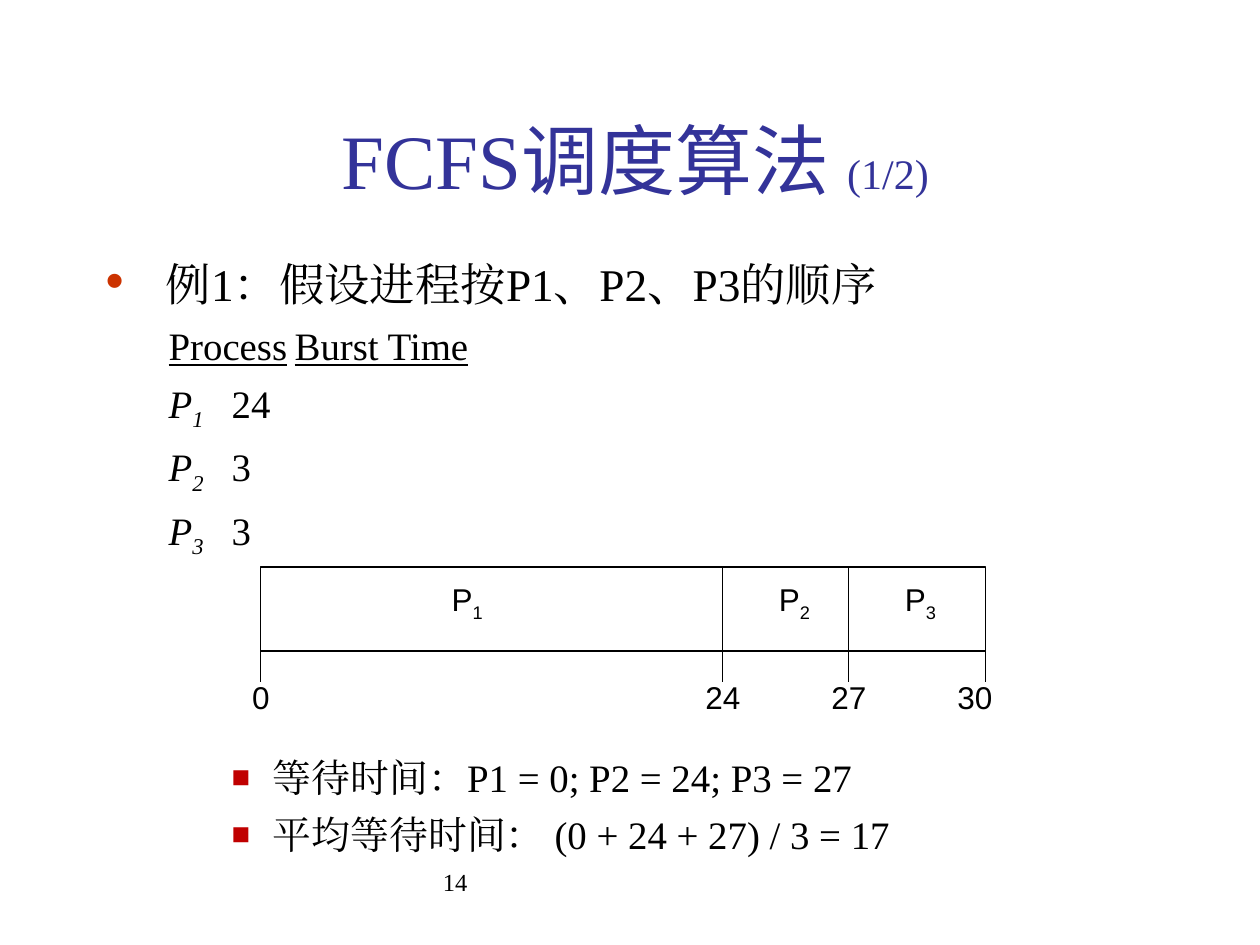
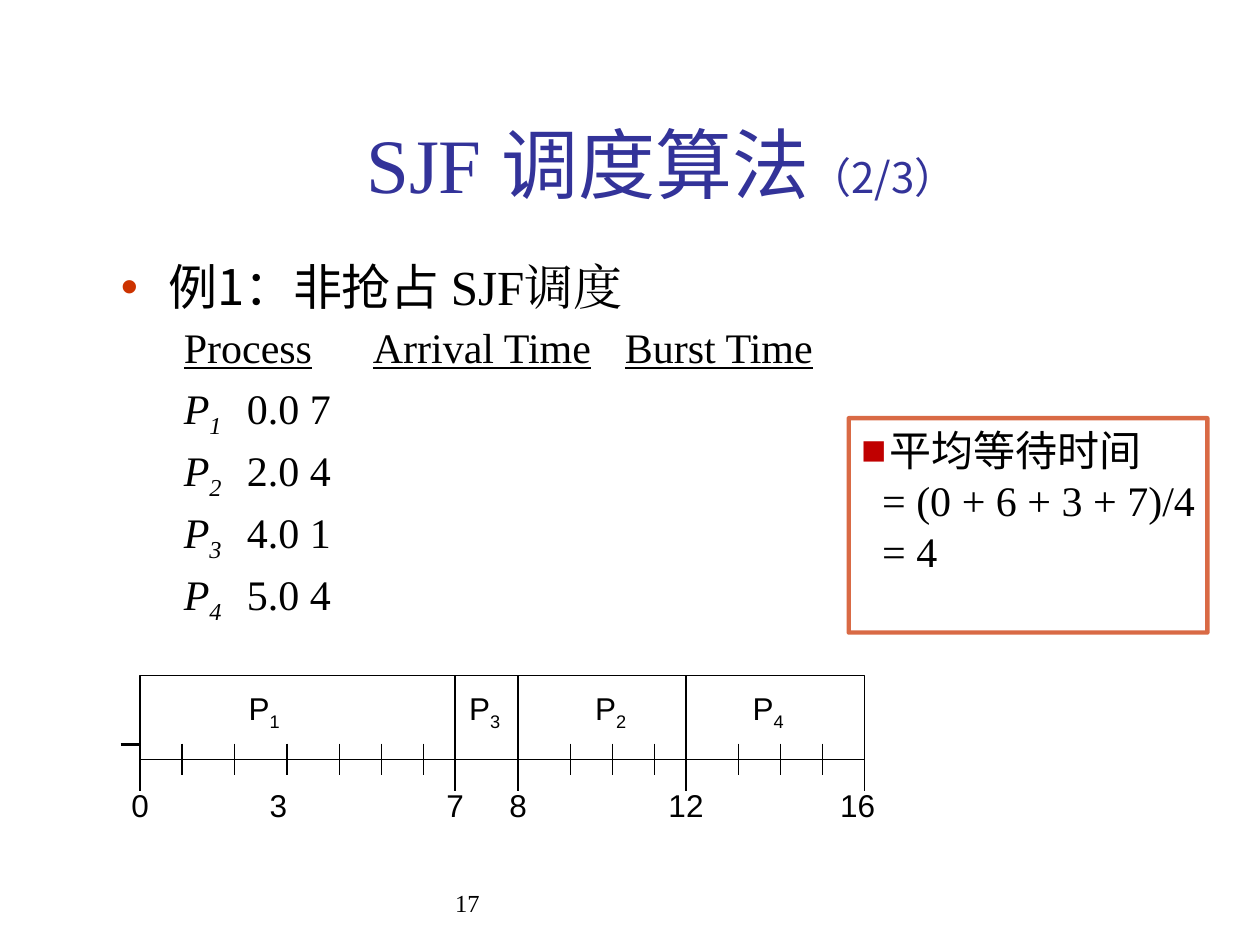
from lxml import etree
from pptx import Presentation
from pptx import util as u
from pptx.dml import color
from pptx.enum import shapes, text
from pptx.oxml import ns

COLORS = {"title": "333399", "ink": "000000", "paper": "FFFFFF",
          "dot": "CC3300", "square": "C00000", "frame": "CC3300"}
TIMES, NOTO, ARIAL = "Times New Roman", "Noto Sans CJK SC", "Arial"
DOT = {"char": "•", "color": "dot", "percent": 100}
SQUARE = {"char": "■", "color": "square", "percent": 80}
SUB = {"italic": True, "sub": True}


def rgb(key):
    return color.RGBColor.from_string(COLORS[key])


def child(parent, tag, **attrs):
    node = etree.SubElement(parent, ns.qn(tag))
    for key, value in attrs.items():
        node.set(key, str(value))
    return node


def set_all(target, values):
    for key, value in values.items():
        setattr(target, key, value)


def add_run(paragraph, words, style):
    style = dict(style)
    subscript = style.pop("sub", False)
    ink = style.pop("ink", "ink")
    style["size"] = u.Pt(style["size"])
    run = paragraph.add_run()
    run.text = words
    set_all(run.font, style)
    run.font.color.rgb = rgb(ink)
    props = run.font._element
    child(props, "a:ea", typeface=style["name"])
    if subscript:
        props.set("baseline", "-25000")


def para(*runs, bullet=None, tabs=(), margin=0, hang=0, **layout):
    return {"runs": runs, "bullet": bullet, "tabs": tabs,
            "margin": margin, "hang": hang, "layout": layout}


def write(frame, paras, base):
    for number, item in enumerate(paras):
        paragraph = frame.paragraphs[0] if number == 0 else frame.add_paragraph()
        props = paragraph._p.get_or_add_pPr()
        props.set("marL", str(u.Pt(item["margin"])))
        props.set("indent", str(u.Pt(-item["hang"])))
        bullet = item["bullet"]
        if bullet:
            child(child(props, "a:buClr"), "a:srgbClr", val=COLORS[bullet["color"]])
            child(props, "a:buSzPct", val=bullet["percent"] * 1000)
            child(props, "a:buFont", typeface=ARIAL)
            child(props, "a:buChar", char=bullet["char"])
        else:
            child(props, "a:buNone")
        if item["tabs"]:
            stops = child(props, "a:tabLst")
            for stop in item["tabs"]:
                child(stops, "a:tab", pos=u.Pt(stop), algn="l")
        set_all(paragraph, item["layout"])
        for words, style in item["runs"]:
            add_run(paragraph, words, {**base, **style})


def add_text(slide, box, paras, base, **frame_values):
    frame = slide.shapes.add_textbox(*map(u.Pt, box)).text_frame
    set_all(frame, {"word_wrap": True, **frame_values})
    write(frame, paras, base)


def add_title(slide, box, runs):
    add_text(slide, box, [para(*runs, alignment=text.PP_ALIGN.CENTER)],
             {"name": TIMES, "size": 44, "ink": "title"},
             vertical_anchor=text.MSO_ANCHOR.MIDDLE)


def add_page_number(slide, box, number):
    add_text(slide, box, [para((number, {}))], {"name": TIMES, "size": 14})


def add_line(slide, x1, y1, x2, y2, width=0.75):
    line = slide.shapes.add_connector(
        shapes.MSO_CONNECTOR.STRAIGHT, *map(u.Pt, (x1, y1, x2, y2)))
    line.line.color.rgb = rgb("ink")
    line.line.width = u.Pt(width)
    child(line._element.spPr, "a:effectLst")


def add_rect(slide, box, edge, width):
    rect = slide.shapes.add_shape(shapes.MSO_SHAPE.RECTANGLE, *map(u.Pt, box))
    rect.shadow.inherit = False
    rect.line.color.rgb = rgb(edge)
    rect.line.width = u.Pt(width)
    return rect


def add_gantt(slide, box, edges, processes, times, unit_ticks=()):
    left, top, width, height = box
    bar = add_rect(slide, box, "ink", 0.75)
    bar.fill.solid()
    bar.fill.fore_color.rgb = rgb("paper")
    for edge in edges:
        x = left + edge
        if 0 < edge < width:
            add_line(slide, x, top, x, top + height)
        add_line(slide, x, top + height, x, top + height + 18)
    for tick in unit_ticks:
        add_line(slide, left + tick, top + 39, left + tick, top + 57)

    def add_label(center, middle, *runs):
        add_text(slide, (left + center - 20, top + middle - 15, 40, 30),
                 [para(*runs, alignment=text.PP_ALIGN.CENTER)],
                 {"name": ARIAL, "size": 18},
                 vertical_anchor=text.MSO_ANCHOR.MIDDLE,
                 margin_left=0, margin_right=0, margin_top=0, margin_bottom=0)

    for index, center in processes:
        add_label(center, 20, ("P", {}), (index, {"sub": True}))
    for moment, center in times:
        add_label(center, 74, (moment, {}))


def process_row(index, values, tabs, **layout):
    return para(("\t", {}), ("P", {"italic": True}), (index, SUB),
                ("\t" + "\t".join(values), {}), tabs=tabs, **layout)


def add_fcfs_example(slide, box):
    before = {"space_before": u.Pt(6)}
    underlined = {"underline": True}
    rows = [("1", "24", (158, 290)), ("2", "3", (158, 295.5)), ("3", "3", (152, 291))]
    results = [("等待时间：P1 = 0; P2 = 24; P3 = 27", 111),
               ("平均等待时间： (0 + 24 + 27) / 3 = 17", 6)]
    paras = [para((" ", {"size": 29.6}),
                  ("例1：假设进程按P1、P2、P3的顺序", {"size": 25.9}),
                  bullet=DOT, margin=27, hang=27),
             para(("\t", {}), ("Process", underlined), ("\t", {}),
                  ("Burst Time", underlined), tabs=(132.5, 281), **before)]
    paras += [process_row(index, [burst], tabs, **before) for index, burst, tabs in rows]
    paras += [para((" " + result, {}), bullet=SQUARE, margin=90, hang=18,
                   space_before=u.Pt(gap)) for result, gap in results]
    add_text(slide, box, paras, {"name": TIMES, "size": 22.2})


def add_sjf_example(slide, box):
    layout = {"line_spacing": 0.9, "space_before": u.Pt(6)}
    rows = [("1", "0.0", "7", 57, 110.3), ("2", "2.0", "4", 51, 109),
            ("3", "4.0", "1", 51, 110.3), ("4", "5.0", "4", 51, 110.3)]
    paras = [para(("例1：非抢占 ", {"name": NOTO, "size": 28}), ("SJF调度", {"size": 28}),
                  bullet=DOT, margin=27, hang=27, line_spacing=0.9),
             para(("\t", {}),
                  ("Process\tArrival Time\tBurst Time", {"underline": True}),
                  tabs=(34.5, 119.4, 255.5), **layout)]
    paras += [process_row(index, [arrival, burst], (name_x, arrival_x, 242.4), **layout)
              for index, arrival, burst, name_x, arrival_x in rows]
    add_text(slide, box, paras, {"name": TIMES, "size": 24})


def add_average_wait(slide, box):
    panel = add_rect(slide, box, "frame", 2.5)
    panel.fill.background()
    edge = panel.line._ln.find(".//" + ns.qn("a:srgbClr"))
    child(edge, "a:alpha", val=73000)
    frame = panel.text_frame
    set_all(frame, {"word_wrap": False, "vertical_anchor": text.MSO_ANCHOR.TOP})
    left = {"alignment": text.PP_ALIGN.LEFT}
    paras = [para(("平均等待时间", {"name": NOTO}), bullet={**SQUARE, "percent": 100},
                  margin=16, hang=16, **left)]
    paras += [para((step, {}), margin=12, **left)
              for step in ("= (0 + 6 + 3 + 7)/4", "= 4")]
    write(frame, paras, {"name": TIMES, "size": 24})


def build_fcfs(slide):
    add_page_number(slide, (246, 492, 228, 36), "14")
    add_title(slide, (51, 73, 624, 36),
              [("FCFS", {}), ("调度算法 ", {"name": NOTO}), ("(1/2)", {"size": 24})])
    add_fcfs_example(slide, (53.3, 139, 635, 341))
    add_gantt(slide, (149, 324, 414, 48), (0, 264, 336, 414),
              [("1", 118), ("2", 305), ("3", 377)],
              [("0", 0), ("24", 264), ("27", 336), ("30", 408)])


def build_sjf(slide):
    add_page_number(slide, (253, 504, 228, 36), "17")
    add_sjf_example(slide, (62, 147, 523, 337))
    add_title(slide, (72, 48, 612, 90),
              [("SJF ", {}), ("调度算法", {"name": NOTO}),
               ("（2/3）", {"name": NOTO, "size": 24})])
    left, top = 80, 386
    add_line(slide, left - 11, top + 39.5, left, top + 39.5, 1.25)
    ticks = (24, 54, 84, 114, 138, 162, 246, 270, 294, 342, 366, 390)
    add_gantt(slide, (left, top, 414, 48), (0, 180, 216, 312, 414),
              [("1", 71), ("3", 197), ("2", 269), ("4", 359)],
              [("0", 0), ("3", 79), ("7", 180), ("8", 216), ("12", 312), ("16", 410)],
              ticks)
    add_average_wait(slide, (485, 239, 205, 122.5))


def main():
    deck = Presentation()
    set_all(deck, {"slide_width": u.Pt(720), "slide_height": u.Pt(540)})
    for build in (build_fcfs, build_sjf):
        build(deck.slides.add_slide(deck.slide_layouts[6]))
    deck.save("out.pptx")


if __name__ == "__main__":
    main()
